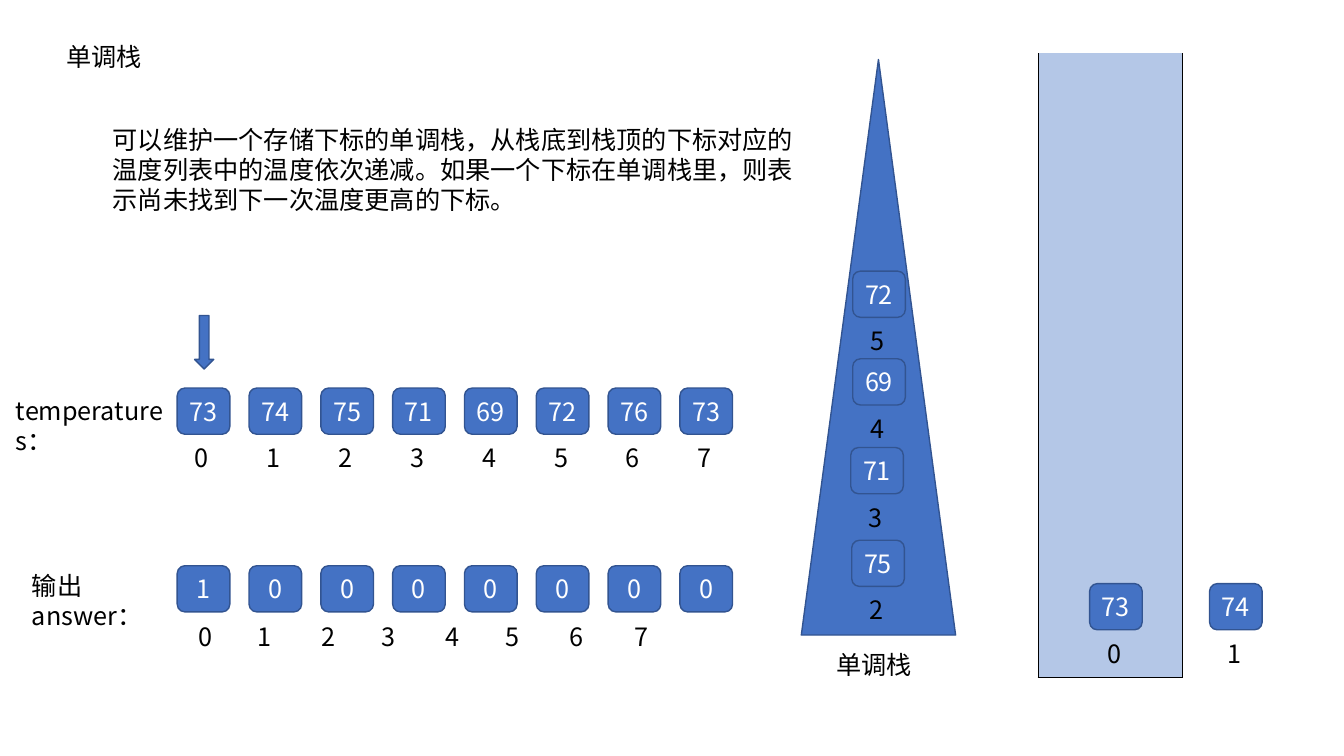
from dataclasses import dataclass

from lxml.etree import SubElement
from pptx import Presentation
from pptx.dml.color import RGBColor
from pptx.enum.shapes import MSO_SHAPE
from pptx.enum.text import MSO_ANCHOR, MSO_AUTO_SIZE, PP_ALIGN
from pptx.oxml import parse_xml
from pptx.oxml.ns import nsdecls, qn
from pptx.util import Pt


@dataclass(frozen=True)
class Theme:
    font: str = "Noto Sans CJK SC"
    size: float = 18
    ink: str = "000000"
    cell_ink: str = "FFFFFF"
    fill: str = "4472C4"
    outline: str = "325491"
    container: str = "B4C7E7"
    line_width: float = 1


THEME = Theme()

CELL_WIDTH, CELL_HEIGHT = 37.6, 33
ROW_LEFT, ROW_PITCH = 126.6, 51.3
TEMPERATURE_TOP, ANSWER_TOP = 277.2, 404.1
TEMPERATURES = [73, 74, 75, 71, 69, 72, 76, 73]
ANSWERS = [1, 0, 0, 0, 0, 0, 0, 0]
ANSWER_INDEX_TABS = [42.2, 88.5, 130.7, 177, 219.3, 265.5, 311.7]
DECREASING_STACK = [
    (608.4, 385.9, 75, 2),
    (607.7, 319.7, 71, 3),
    (609.1, 256.3, 69, 4),
    (609.1, 193.7, 72, 5),
]
EXPLANATION = (
    "可以维护一个存储下标的单调栈，从栈底到栈顶的下标对应的温度列表中的温度依次递减。"
    "如果一个下标在单调栈里，则表示尚未找到下一次温度更高的下标。"
)


def format_text(frame, color):
    for para in frame.paragraphs:
        for span in para.runs:
            span.font.size = Pt(THEME.size)
            span.font.name = THEME.font
            span.font.color.rgb = RGBColor.from_string(color)
            SubElement(span._r.get_or_add_rPr(), qn("a:ea"), typeface=THEME.font)


def add_label(page, left, top, width, text, height=28.8):
    box = page.shapes.add_textbox(Pt(left), Pt(top), Pt(width), Pt(height))
    frame = box.text_frame
    frame.word_wrap = True
    frame.auto_size = MSO_AUTO_SIZE.SHAPE_TO_FIT_TEXT
    frame.text = text
    format_text(frame, THEME.ink)
    return box


def add_filled_shape(page, kind, left, top, width, height):
    shape = page.shapes.add_shape(kind, Pt(left), Pt(top), Pt(width), Pt(height))
    shape.shadow.inherit = False
    shape.fill.solid()
    shape.fill.fore_color.rgb = RGBColor.from_string(THEME.fill)
    shape.line.color.rgb = RGBColor.from_string(THEME.outline)
    shape.line.width = Pt(THEME.line_width)
    return shape


def add_cell(page, left, top, value):
    cell = add_filled_shape(
        page, MSO_SHAPE.FLOWCHART_ALTERNATE_PROCESS, left, top, CELL_WIDTH, CELL_HEIGHT
    )
    frame = cell.text_frame
    frame.text = str(value)
    frame.vertical_anchor = MSO_ANCHOR.MIDDLE
    frame.paragraphs[0].alignment = PP_ALIGN.CENTER
    format_text(frame, THEME.cell_ink)


def add_indexed_cell(page, left, top, value, index):
    add_cell(page, left, top, value)
    add_label(page, left + 5.6, top + 35.3, 26.6, str(index))


def add_answer_indices(page):
    text = "\t".join(str(index) for index in range(len(ANSWERS)))
    box = add_label(page, ROW_LEFT, 440.6, 407.5, text)
    box.text_frame.margin_left = Pt(14.9)
    properties = box.text_frame.paragraphs[0]._p.get_or_add_pPr()
    tab_list = SubElement(properties, qn("a:tabLst"))
    for position in ANSWER_INDEX_TABS:
        SubElement(tab_list, qn("a:tab"), pos=str(Pt(position)), algn="l")


def add_container(page, left, top, width, height):
    frame = page.shapes.add_table(1, 1, Pt(left), Pt(top), Pt(width), Pt(height))
    table = frame.table
    table.first_row = False
    table.horz_banding = False
    cell = table.cell(0, 0)
    cell.fill.solid()
    cell.fill.fore_color.rgb = RGBColor.from_string(THEME.container)
    solid = f'<a:solidFill><a:srgbClr val="{THEME.ink}"/></a:solidFill>'
    borders = {"lnL": solid, "lnR": solid, "lnT": "<a:noFill/>", "lnB": solid}
    properties = cell._tc.get_or_add_tcPr()
    for position, (side, paint) in enumerate(borders.items()):
        border = parse_xml(
            f'<a:{side} {nsdecls("a")} w="{Pt(THEME.line_width)}">{paint}</a:{side}>'
        )
        properties.insert(position, border)


def add_arrays(page):
    add_label(page, 4.3, 278.6, 122.4, "temperatures：")
    add_label(page, 15.8, 403.9, 110.2, "输出answer：")
    for index, (temperature, answer) in enumerate(zip(TEMPERATURES, ANSWERS)):
        left = ROW_LEFT + index * ROW_PITCH
        add_indexed_cell(page, left, TEMPERATURE_TOP, temperature, index)
        add_cell(page, left, ANSWER_TOP, answer)
    add_answer_indices(page)
    add_filled_shape(page, MSO_SHAPE.DOWN_ARROW, 139, 225.4, 13.7, 38.2)


def add_stacks(page):
    add_container(page, 741.6, 38.2, 103, 445.7)
    for index, left in enumerate([778.3, 864]):
        add_indexed_cell(page, left, 416.9, TEMPERATURES[index], index)
    add_filled_shape(page, MSO_SHAPE.ISOSCELES_TRIANGLE, 572.4, 42.5, 110.2, 411.1)
    for left, top, value, index in DECREASING_STACK:
        add_indexed_cell(page, left, top, value, index)
    add_label(page, 590.4, 460.1, 71.3, "单调栈")


def main():
    deck = Presentation()
    deck.slide_width, deck.slide_height = Pt(960), Pt(540)
    page = deck.slides.add_slide(deck.slide_layouts[6])
    add_label(page, 40.3, 25.9, 266.4, "单调栈")
    add_label(page, 73.4, 85, 503.3, EXPLANATION, 72.7)
    add_arrays(page)
    add_stacks(page)
    deck.save("out.pptx")


if __name__ == "__main__":
    main()
